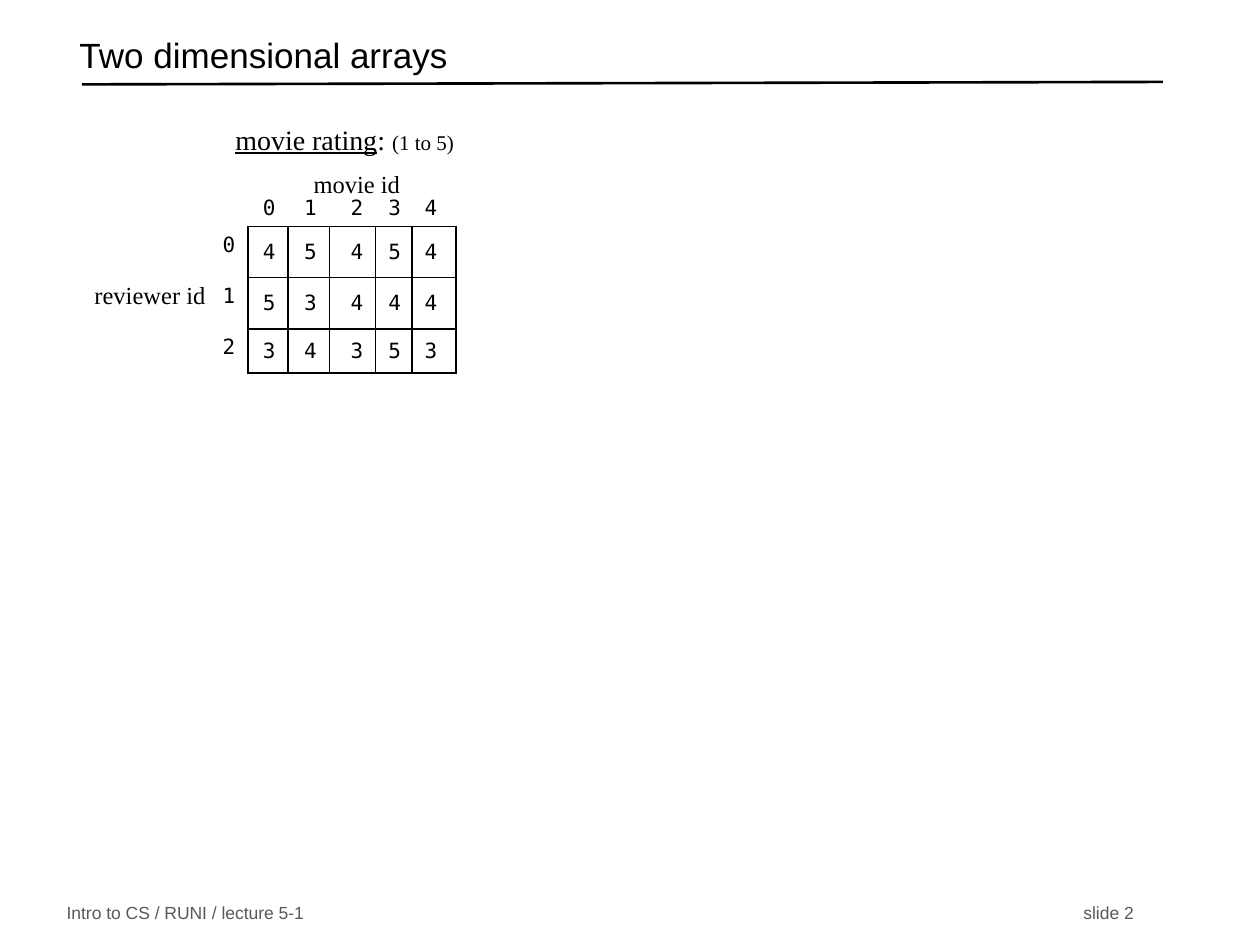
from lxml import etree
from pptx import Presentation, util as u
from pptx.dml import color
from pptx.enum import shapes, text
from pptx.oxml import ns

COLUMNS, ROWS = 100, 75  # page grid
INK, GREY = "000000", "595959"
SERIF, SANS, MONO = "Times New Roman", "Arial", "DejaVu Sans Mono"
RATINGS = [[4, 5, 4, 5, 4], [5, 3, 4, 4, 4], [3, 4, 3, 5, 3]]
# Shares of the table's width and height
COLUMN_SHARES = [0.64, 0.32, 0.33, 0.37, 0.29, 0.35]
ROW_SHARES = [0.41, 0.41, 0.41, 0.35]

deck = Presentation()
deck.slide_width, deck.slide_height = u.Inches(10), u.Inches(7.5)


def place(left, top, width, height):
    """Turn grid columns and rows into slide lengths."""
    across, down = deck.slide_width / COLUMNS, deck.slide_height / ROWS
    return [u.Emu(round(v * step)) for v, step in
            zip((left, top, width, height), (across, down, across, down))]


def rgb(value):
    return color.RGBColor.from_string(value)


def set_values(target, values):
    for name, value in values.items():
        setattr(target, name, value)


def write(frame, spans, size, font, ink=INK, para_format=None, **frame_format):
    """Fill a text frame with one paragraph of (words, font values) spans."""
    set_values(frame, {"word_wrap": True, **frame_format})
    para = frame.paragraphs[0]
    set_values(para, para_format or {})
    for words, changes in spans:
        span = para.add_run()
        span.text = words
        set_values(span.font, {"size": u.Pt(size), "name": font, "bold": False, **changes})
        span.font.color.rgb = rgb(ink)
    return para


def add_label(page, box, spans, size, **options):
    label = page.shapes.add_textbox(*place(*box))
    return write(label.text_frame, spans, size, **options)


def add_heading(page, box):
    # Title
    title = page.shapes.title
    set_values(title, dict(zip(("left", "top", "width", "height"), place(*box))))
    write(title.text_frame, [("Two dimensional arrays", {})], 20, SANS,
          para_format={"alignment": text.PP_ALIGN.LEFT, "line_spacing": 0.7},
          vertical_anchor=text.MSO_ANCHOR.MIDDLE, auto_size=text.MSO_AUTO_SIZE.NONE)
    # Rule below the title
    left, top, width, height = box
    x, y, run, rise = place(left + 1.2, top + 4.5, width - 0.2, 0.2)
    rule = page.shapes.add_connector(shapes.MSO_CONNECTOR.STRAIGHT, x, y, x + run, y - rise)
    rule.line.color.rgb, rule.line.width = rgb(INK), u.Pt(1.5)
    etree.SubElement(rule._element.spPr, ns.qn("a:effectLst"))


def add_footer(page, box):
    para = add_label(page, box, [("Intro to CS / RUNI / lecture 5-1\tslide 2", {})], 10,
                     font=SANS, ink=GREY, vertical_anchor=text.MSO_ANCHOR.MIDDLE)
    # Right tab for the slide number
    tabs = etree.SubElement(para._p.get_or_add_pPr(), ns.qn("a:tabLst"))
    stop = place(0, 0, box[2] - 2.4, 0)[2]
    etree.SubElement(tabs, ns.qn("a:tab"), pos=str(stop), algn="r")


def set_borders(cell, sides):
    """Draw the named sides (L, R, T, B) and clear the others."""
    props = cell._tc.get_or_add_tcPr()
    for index, side in enumerate("LRTB"):
        line = etree.Element(ns.qn(f"a:ln{side}"), w=str(u.Pt(1)))
        if side in sides:
            fill = etree.SubElement(line, ns.qn("a:solidFill"))
            etree.SubElement(fill, ns.qn("a:srgbClr"), val=INK)
        else:
            etree.SubElement(line, ns.qn("a:noFill"))
        props.insert(index, line)


def add_ratings(page, box):
    values = [["", *range(len(RATINGS[0]))]]
    values += [[i, *row] for i, row in enumerate(RATINGS)]
    area = place(*box)
    table = page.shapes.add_table(len(values), len(values[0]), *area).table
    set_values(table, {"first_row": False, "horz_banding": False})
    for column, share in zip(table.columns, COLUMN_SHARES):
        column.width = round(area[2] * share / sum(COLUMN_SHARES))
    for row, share in zip(table.rows, ROW_SHARES):
        row.height = round(area[3] * share / sum(ROW_SHARES))
    last = len(values[0]) - 1
    for r, row in enumerate(values):
        for c, value in enumerate(row):
            cell = table.cell(r, c)
            cell.fill.background()
            if r == 0:
                anchor, sides = text.MSO_ANCHOR.BOTTOM, "B" if c else ""
            elif c == 0:
                anchor, sides = text.MSO_ANCHOR.TOP, "R"
            else:
                anchor, sides = text.MSO_ANCHOR.MIDDLE, "LRTB"
            set_borders(cell, sides)
            cell.vertical_anchor = anchor
            align = text.PP_ALIGN.LEFT if c == last else text.PP_ALIGN.RIGHT
            if value != "":
                write(cell.text_frame, [(str(value), {})], 12, MONO,
                      para_format={"alignment": align})


def add_rating_figure(page, box):
    """Table with its caption and axis names, placed from the table's box."""
    left, top, width, height = box
    add_label(page, (left + 10.6, top - 1, 20.3, 3.4), [("movie id", {})], 14, font=SERIF)
    add_label(page, (left + 4.4, top - 4.7, 26.5, 3.7),
              [("movie rating", {"underline": True}), (": ", {}),
               ("(1 to 5)", {"size": u.Pt(12)})], 16, font=SERIF)
    add_ratings(page, box)
    add_label(page, (left - 9.8, top + height / 2, 13.8, 3.4), [("reviewer id", {})], 14,
              font=SERIF, para_format={"alignment": text.PP_ALIGN.RIGHT})


def main():
    page = deck.slides.add_slide(deck.slide_layouts[5])  # title only
    add_heading(page, (5.3, 2.2, 86, 5))
    add_rating_figure(page, (13.3, 13.9, 22.9, 15.7))
    add_footer(page, (4.3, 71.4, 87.1, 2.1))
    deck.save("out.pptx")


if __name__ == "__main__":
    main()
